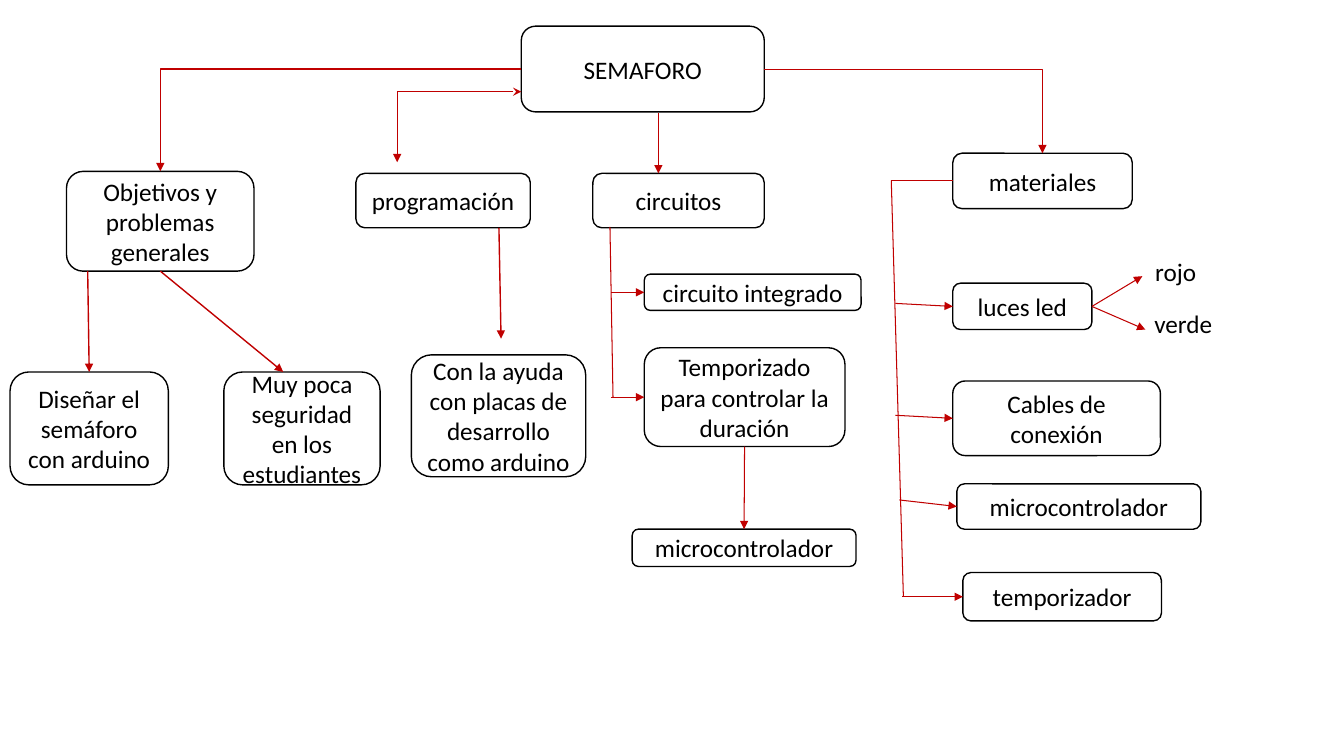
from typing import NamedTuple

from lxml.etree import SubElement
from pptx import Presentation
from pptx.dml.color import RGBColor
from pptx.enum.shapes import MSO_CONNECTOR as Link, MSO_SHAPE as Shape
from pptx.enum.text import MSO_ANCHOR as Anchor, MSO_AUTO_SIZE as AutoSize, PP_ALIGN as Align
from pptx.oxml.ns import qn
from pptx.util import Inches, Pt

COLORS = {"ink": "000000", "paper": "FFFFFF", "arrow": "C00000"}
COLUMNS, ROWS = 133.3, 75


class Node(NamedTuple):
    column: float
    row: float
    width: float
    height: float

    def point(self, across, down):
        return self.column + self.width * across, self.row + self.height * down


class ConceptMap:
    font, size = "Calibri", 18

    def __init__(self, deck):
        self.deck = deck
        self.page = deck.slides.add_slide(deck.slide_layouts[6])

    def grid(self, column, row):
        return int(self.deck.slide_width * column / COLUMNS), int(self.deck.slide_height * row / ROWS)

    def color(self, name):
        return RGBColor.from_string(COLORS[name])

    def set_text(self, box, text, align):
        frame = box.text_frame
        frame.word_wrap = True
        para = frame.paragraphs[0]
        para.text = text
        para.alignment = align
        para.font.name = self.font
        para.font.size = Pt(self.size)
        para.font.color.rgb = self.color("ink")
        return frame

    def node(self, text, *place):
        node = Node(*place)
        box = self.page.shapes.add_shape(
            Shape.ROUNDED_RECTANGLE, *self.grid(*node[:2]), *self.grid(*node[2:]))
        box.shadow.inherit = False
        box.fill.solid()
        box.fill.fore_color.rgb = self.color("paper")
        box.line.color.rgb = self.color("ink")
        box.line.width = Pt(1)
        self.set_text(box, text, Align.CENTER).vertical_anchor = Anchor.MIDDLE
        return node

    def label(self, text, column, row, width):
        box = self.page.shapes.add_textbox(*self.grid(column, row), *self.grid(width, 4))
        self.set_text(box, text, Align.LEFT).auto_size = AutoSize.SHAPE_TO_FIT_TEXT

    def line(self, start, end, weight=0.75, head=None, tail="triangle", bent=False):
        link = self.page.shapes.add_connector(
            Link.ELBOW if bent else Link.STRAIGHT, *self.grid(*start), *self.grid(*end))
        link.line.color.rgb = self.color("arrow")
        link.line.width = Pt(weight)
        properties = link._element.spPr
        if bent:
            properties.find(qn("a:prstGeom")).set("prst", "bentConnector2")
        for tag, kind in (("a:headEnd", head), ("a:tailEnd", tail)):
            if kind:
                SubElement(properties.find(qn("a:ln")), qn(tag), type=kind)
        SubElement(properties, qn("a:effectLst"))


def draw_goals(chart, root):
    goals = chart.node("Objetivos y problemas generales", 6.6, 17, 18.6, 9.9)
    design = chart.node("Diseñar el semáforo con arduino", 1, 36.9, 15.7, 11.2)
    safety = chart.node("Muy poca seguridad en los estudiantes", 22.2, 36.9, 15.5, 11.2)
    chart.line(root.point(0, 0.5), goals.point(0.5, 0), 1, bent=True)
    chart.line((8.7, 26.9), design.point(0.5, 0), 1)
    chart.line(goals.point(0.5, 1), safety.point(0.38, 0), 1)


def draw_programming(chart, root):
    programming = chart.node("programación", 35.3, 17.2, 17.3, 5.4)
    chart.node("Con la ayuda con placas de desarrollo como arduino", 40.8, 35.2, 17.3, 12.1)
    chart.line((root.column, 9.1), (39.4, 16.1), head="stealth", bent=True)
    chart.line(programming.point(0.82, 1), (49.7, 33.6), 1)


def draw_circuits(chart):
    circuits = chart.node("circuitos", 58.8, 17.2, 17, 5.4)
    integrated = chart.node("circuito integrado", 63.9, 27.2, 21.5, 3.6)
    timer = chart.node("Temporizado para controlar la duración", 63.9, 34.5, 19.9, 9.8)
    controller = chart.node("microcontrolador", 62.7, 52.5, 22.2, 3.7)
    chart.line((65.3, 11.2), (65.3, circuits.row))
    chart.line((60.5, 22.5), (60.8, 39.4), tail=None)
    for part in (integrated, timer):
        end = part.point(0, 0.5)
        chart.line((60.6, end[1]), end)
    chart.line(timer.point(0.5, 1), controller.point(0.5, 0))


def draw_materials(chart, root):
    materials = chart.node("materiales", 94.5, 15.2, 17.8, 5.5)
    chart.line(root.point(1, 0.5), materials.point(0.5, 0), bent=True)
    corner = (88.4, 17.9)
    chart.line((materials.column, corner[1]), corner, tail=None)
    chart.line(corner, (89.6, 59.2), tail=None)
    branches = [
        ("luces led", (94.5, 28.1, 13.8, 4.6), (88.8, 30.1)),
        ("Cables de conexión", (94.5, 37.8, 20.6, 7.4), (88.8, 41.2)),
        ("microcontrolador", (94.9, 48, 24.2, 4.5), (89.2, 49.6)),
        ("temporizador", (95.5, 56.8, 19.7, 4.8), (89.5, 59.2)),
    ]
    parts = []
    for text, place, start in branches:
        part = chart.node(text, *place)
        chart.line(start, part.point(0, 0.5))
        parts.append(part)
    lights = parts[0].point(1, 0.5)
    for text, column, row, width, tip in (
        ("rojo", 113.6, 24.9, 10, (113.3, 27.4)),
        ("verde", 113.5, 30.1, 10.3, (113.6, 32.7)),
    ):
        chart.label(text, column, row, width)
        chart.line(lights, tip)


def main():
    deck = Presentation()
    deck.slide_width, deck.slide_height = Inches(13.33), Inches(7.5)
    chart = ConceptMap(deck)
    root = chart.node("SEMAFORO", 51.7, 2.6, 24.1, 8.5)
    draw_goals(chart, root)
    draw_programming(chart, root)
    draw_circuits(chart)
    draw_materials(chart, root)
    deck.save("out.pptx")


if __name__ == "__main__":
    main()
